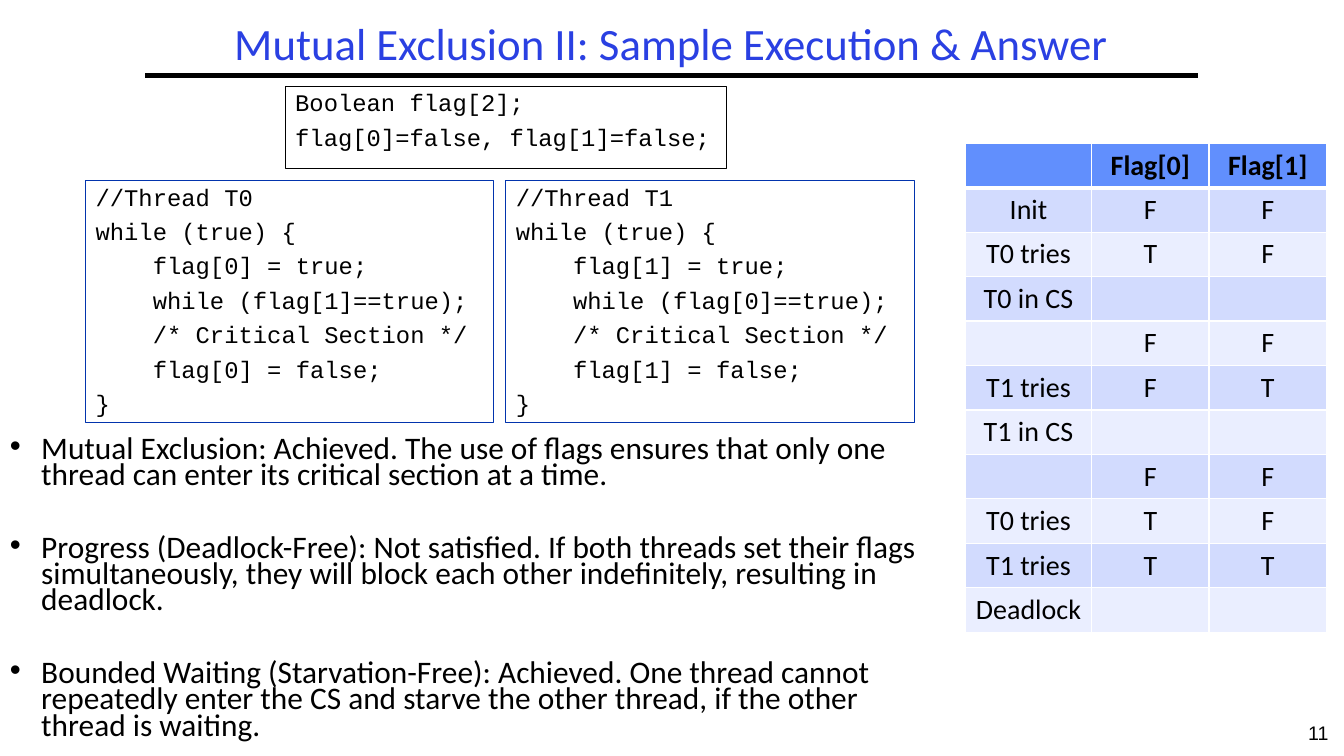
import pptx
import pptx.dml.color
import pptx.enum.shapes
import pptx.enum.text
import pptx.oxml
import pptx.oxml.ns
import pptx.util
from dataclasses import dataclass

Cm, Pt = pptx.util.Cm, pptx.util.Pt
PP_ALIGN, ANCHOR = pptx.enum.text.PP_ALIGN, pptx.enum.text.MSO_ANCHOR

# Content
TITLE = "Mutual Exclusion II: Sample Execution & Answer"
PAGE = "11"
SHARED_CODE = ["Boolean flag[2];", "flag[0]=false, flag[1]=false;"]
THREAD_CODE = [
    "//Thread T{own}",
    "while (true) {{",
    "    flag[{own}] = true;",
    "    while (flag[{other}]==true);",
    "    /* Critical Section */",
    "    flag[{own}] = false;",
    "}}",
]
THREADS = [(0, 1), (1, 0)]
TRACE = [
    ("", "Flag[0]", "Flag[1]"),
    ("Init", "F", "F"),
    ("T0 tries", "T", "F"),
    ("T0 in CS", "", ""),
    ("", "F", "F"),
    ("T1 tries", "F", "T"),
    ("T1 in CS", "", ""),
    ("", "F", "F"),
    ("T0 tries", "T", "F"),
    ("T1 tries", "T", "T"),
    ("Deadlock", "", ""),
]
ANSWERS = [
    "Mutual Exclusion: Achieved. The use of flags ensures that only one "
    "thread can enter its critical section at a time.",
    "Progress (Deadlock-Free): Not satisfied. If both threads set their flags "
    "simultaneously, they will block each other indefinitely, resulting in deadlock.",
    "Bounded Waiting (Starvation-Free): Achieved. One thread cannot repeatedly "
    "enter the CS and starve the other thread, if the other thread is waiting.",
]


@dataclass(frozen=True)
class Theme:
    text: str = "000000"
    title: str = "2A40E2"
    thread_line: str = "0234AD"
    header: str = "618FFD"
    bands: tuple = ("D2DBFE", "EAEEFF")
    grid: str = "FFFFFF"
    sans: str = "Calibri"
    mono: str = "Courier New"
    number: str = "Arial"
    title_size: float = 32
    code_size: float = 17
    table_size: float = 20
    body_size: float = 22.4
    page_size: float = 14


THEME = Theme()


def rgb(value):
    return pptx.dml.color.RGBColor.from_string(value)


def add_xml(parent, xml, index=None):
    element = pptx.oxml.parse_xml(xml.replace(
        ">", f' {pptx.oxml.ns.nsdecls("a")}>', 1) if "/>" not in xml.split(">")[0] + ">"
        else xml.replace("/>", f' {pptx.oxml.ns.nsdecls("a")}/>', 1))
    parent.insert(len(parent) if index is None else index, element)


def write(frame, lines, font, size, color=THEME.text, align=PP_ALIGN.LEFT,
          spacing=None, gap=0, bullet=False, bold=False):
    frame.word_wrap = True
    for i, line in enumerate(lines):
        paragraph = frame.add_paragraph() if i else frame.paragraphs[0]
        paragraph.text = line
        paragraph.alignment = align
        if spacing:
            paragraph.line_spacing = spacing
        if i and gap:
            paragraph.space_before = Pt(gap)
        if bullet:
            props = paragraph._p.get_or_add_pPr()
            props.set("marL", str(Cm(0.79)))
            props.set("indent", str(-Cm(0.79)))
            add_xml(props, '<a:buFont typeface="Arial"/>')
            add_xml(props, '<a:buChar char="•"/>')
        paragraph.font.name = font
        paragraph.font.size = Pt(size)
        paragraph.font.bold = bold
        paragraph.font.color.rgb = rgb(color)


def add_text(slide, box, lines, font, size, **style):
    frame = slide.shapes.add_textbox(*map(Cm, box)).text_frame
    write(frame, lines, font, size, **style)
    return frame


def add_code(slide, box, lines, outline):
    code = slide.shapes.add_shape(pptx.enum.shapes.MSO_SHAPE.RECTANGLE, *map(Cm, box))
    code.shadow.inherit = False
    code.fill.background()
    code.line.color.rgb = rgb(outline)
    code.line.width = Pt(0.75)
    code.text_frame.vertical_anchor = ANCHOR.TOP
    write(code.text_frame, lines, THEME.mono, THEME.code_size, spacing=0.9, gap=6.2)


def add_trace(slide, left, top, widths, row_height):
    trace = slide.shapes.add_table(len(TRACE), len(widths), Cm(left), Cm(top),
                                   Cm(sum(widths)), Cm(row_height * len(TRACE))).table
    trace.first_row = trace.horz_banding = False
    for column, width in zip(trace.columns, widths):
        column.width = Cm(width)
    for r, values in enumerate(TRACE):
        trace.rows[r].height = Cm(row_height)
        for c, value in enumerate(values):
            cell = trace.cell(r, c)
            # The rule under the header is thicker than the rest of the grid
            rules = {"L": 1, "R": 1, "T": 3 if r == 1 else 1, "B": 3 if r == 0 else 1}
            for side, width in rules.items():
                add_xml(cell._tc.get_or_add_tcPr(),
                        f'<a:ln{side} w="{Pt(width)}"><a:solidFill>'
                        f'<a:srgbClr val="{THEME.grid}"/></a:solidFill></a:ln{side}>')
            cell.fill.solid()
            cell.fill.fore_color.rgb = rgb(THEME.bands[(r - 1) % 2] if r else THEME.header)
            write(cell.text_frame, [value], THEME.sans, THEME.table_size,
                  align=PP_ALIGN.CENTER, bold=r == 0)


def main():
    deck = pptx.Presentation()
    deck.slide_width, deck.slide_height = Cm(33.87), Cm(19.05)
    slide = deck.slides.add_slide(deck.slide_layouts[6])

    # Title, its rule and the page number
    rule = slide.shapes.add_connector(pptx.enum.shapes.MSO_CONNECTOR.STRAIGHT,
                                      Cm(3.66), Cm(1.9), Cm(30.2), Cm(1.9))
    rule.line.color.rgb = rgb(THEME.text)
    rule.line.width = Pt(3)
    add_xml(rule._element.spPr, "<a:effectLst/>")
    add_text(slide, (32.59, 18.03, 1.27, 1.02), [PAGE], THEME.number, THEME.page_size,
             align=PP_ALIGN.CENTER)
    heading = add_text(slide, (3.66, 0.43, 26.52, 1.47), [TITLE], THEME.sans,
                       THEME.title_size, color=THEME.title, align=PP_ALIGN.CENTER, spacing=0.9)
    heading.vertical_anchor = ANCHOR.MIDDLE

    # Code of both threads and their shared flags
    width, between = 10.29, 0.3
    for i, (own, other) in enumerate(THREADS):
        lines = [line.format(own=own, other=other) for line in THREAD_CODE]
        add_code(slide, (2.16 + i * (width + between), 4.55, width, 6.1),
                 lines, THEME.thread_line)
    add_code(slide, (7.19, 2.18, 11.13, 2.06), SHARED_CODE, THEME.text)

    # Sample execution
    add_trace(slide, 24.33, 3.61, (3.18, 2.96, 2.96), 1.12)

    # Answers
    add_text(slide, (0, 10.92, 23.7, 8.13), ANSWERS, THEME.sans, THEME.body_size,
             spacing=0.7, gap=33, bullet=True)

    deck.save("out.pptx")


if __name__ == "__main__":
    main()
